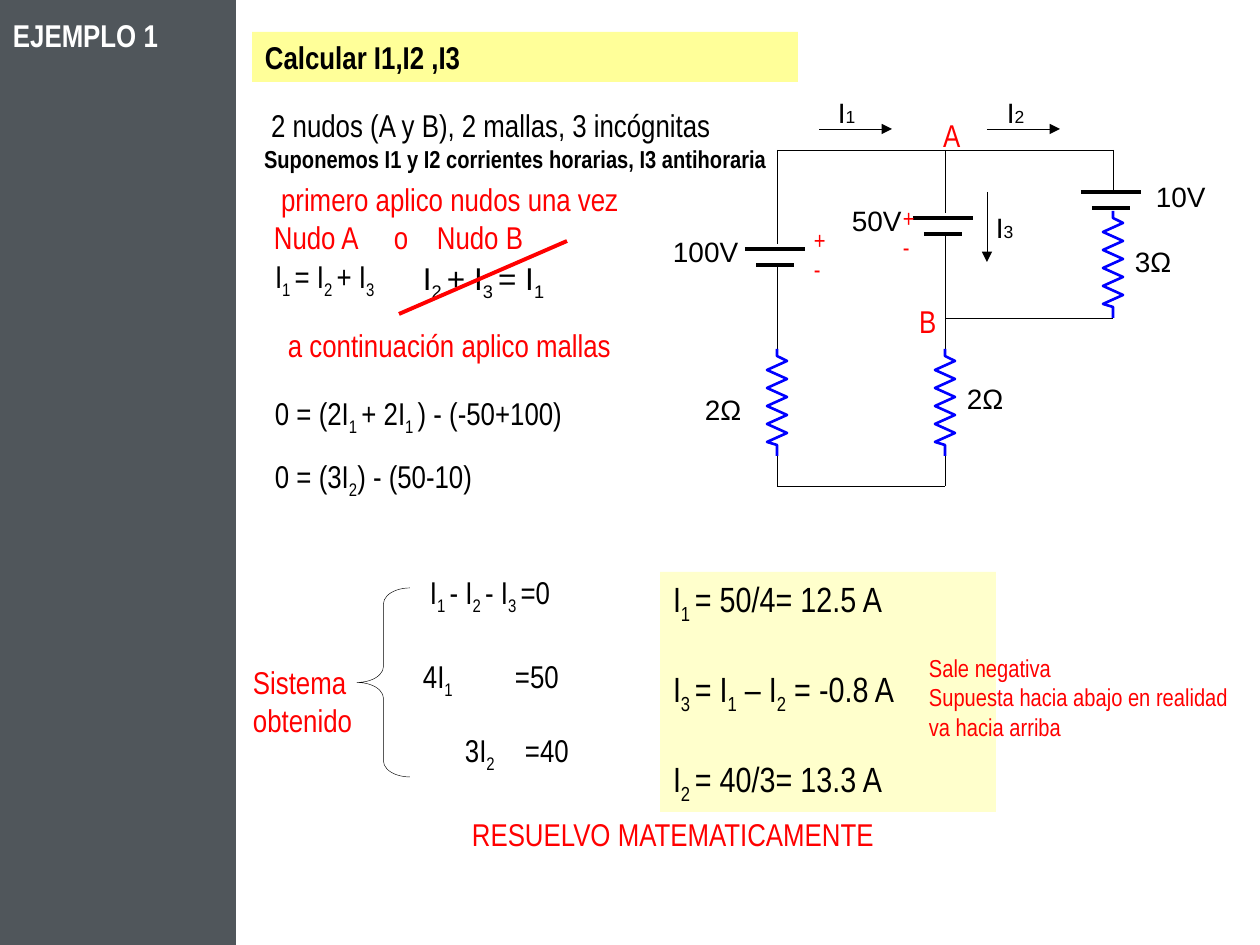
from pptx import Presentation
from pptx.dml.color import RGBColor
from pptx.enum.shapes import MSO_CONNECTOR as Link, MSO_SHAPE as Preset
from pptx.oxml.ns import qn
from pptx.util import Pt
from lxml.etree import SubElement

PX = 914400 / 126
RED, BLACK, WHITE, BLUE = "FF0000", "000000", "FFFFFF", "0000FF"
PADDED = (13, 6)

deck = Presentation()
deck.slide_width, deck.slide_height = round(1260 * PX), round(945 * PX)
page = deck.slides.add_slide(deck.slide_layouts[6])
shapes = page.shapes


def emu(*lengths):
    return [round(length * PX) for length in lengths]


def rgb(color):
    return RGBColor.from_string(color)


def block(preset, place, fill):
    shape = shapes.add_shape(preset, *emu(*place))
    shape.shadow.inherit = False
    shape.fill.solid()
    shape.fill.fore_color.rgb = rgb(fill)
    shape.line.fill.background()
    return shape


def wire(x1, y1, x2, y2, color=BLACK, weight=0.25, arrow=False):
    line = shapes.add_connector(Link.STRAIGHT, *emu(x1, y1, x2, y2))
    line.line.color.rgb = rgb(color)
    line.line.width = Pt(weight)
    if arrow:
        SubElement(line.line._get_or_add_ln(), qn("a:tailEnd"), type="triangle")
    SubElement(line._element.spPr, qn("a:effectLst"))


def write(text, place, size=18, color=BLACK, font="Arial Narrow", bold=False,
          inset=(1, 1), fill=None, before=0, tabs=(), small=None):
    """Lines become paragraphs; every second part between bars is an index.

    An index is a subscript, or plain text of the size given as small.
    """
    box = block(Preset.RECTANGLE, place, fill) if fill else shapes.add_textbox(*emu(*place))
    frame = box.text_frame
    frame.word_wrap = True
    frame.vertical_anchor = 1
    frame.margin_left = frame.margin_right = emu(inset[0])[0]
    frame.margin_top = frame.margin_bottom = emu(inset[1])[0]
    for number, line in enumerate(text.split("\n")):
        para = frame.add_paragraph() if number else frame.paragraphs[0]
        para.alignment = 1
        para.space_before = Pt(before if number else 0)
        if tabs:
            stops = SubElement(para._p.get_or_add_pPr(), qn("a:tabLst"))
            for stop in emu(*tabs):
                SubElement(stops, qn("a:tab"), pos=str(stop), algn="l")
        for index, part in enumerate(line.split("|")):
            if not part:
                continue
            span = para.add_run()
            span.text = part
            span.font.name = font
            span.font.bold = bold
            span.font.color.rgb = rgb(color)
            span.font.size = Pt(small if small and index % 2 else size)
            if index % 2 and not small:
                span._r.get_or_add_rPr().set("baseline", "-25000")
    return frame.paragraphs


# Side panel and headings
block(Preset.RECTANGLE, (0, 0, 236, 945), "50565B")
write("EJEMPLO 1", (0, 10, 231, 50), color=WHITE, bold=True, inset=PADDED)
write("Calcular I1,I2 ,I3", (252, 32, 546, 50), bold=True, inset=PADDED, fill="FFFF99")
intro = write(" 2 nudos (A y B), 2 mallas, 3 incógnitas\n"
              "Suponemos I1 y I2 corrientes horarias, I3 antihoraria", (263, 105, 535, 42))
assumption = intro[1].runs[0].font
assumption.size, assumption.bold = Pt(14), True

# Node and mesh equations
write(" primero aplico nudos una vez\nNudo A\to\tNudo B", (273, 179, 367, 32),
      color=RED, tabs=(120, 163))
write("I|1 |= I|2 |+ I|3", (262, 251, 231, 55), inset=PADDED)
write("I|2 |+ I|3 |= I|1", (410, 253, 231, 55), font="Arial", inset=PADDED)
wire(399, 314, 567, 241, RED, 2.25)
write("a continuación aplico mallas", (287, 325, 367, 49), color=RED)
write("0 = (2I|1 |+ 2I|1 |) - (-50+100)", (262, 388, 577, 55), inset=PADDED)
write("0 = (3I|2|) - (50-10)", (262, 451, 577, 55), inset=PADDED)

# Resulting system
write("Sistema\nobtenido", (252, 662, 105, 53), color=RED)
brace = shapes.add_shape(Preset.LEFT_BRACE, *emu(357, 588, 53, 189))
brace.shadow.inherit = False
brace.adjustments[0], brace.adjustments[1] = 0.3, 0.5
brace.fill.background()
brace.line.color.rgb = rgb(BLACK)
brace.line.width = Pt(0.25)
for equation, left, top, tabs in [("I|1 |- I|2 |- I|3 |=0", 417, 567, ()),
                                  ("4I|1|\t=50", 410, 651, (92,)),
                                  ("3I|2|\t=40", 452, 725, (60,))]:
    write(equation, (left, top, 250, 55), inset=PADDED, tabs=tabs)

# Results
write("I|1 |= 50/4= 12.5 A\nI|3 |= I|1| – I|2| = -0.8 A\nI|2 |= 40/3= 13.3 A",
      (660, 572, 336, 240), size=20, inset=PADDED, fill="FFFFCC", before=24)
write("Sale negativa\nSupuesta hacia abajo en realidad\nva hacia arriba",
      (928, 652, 317, 53), size=14, color=RED)
write("RESUELVO MATEMATICAMENTE", (471, 814, 566, 53), color=RED)

# Circuit wires: three branches between the top, node B and bottom rails
LEFT, MIDDLE, RIGHT = 777, 945, 1113
TOP, NODE_B, BOTTOM = 150, 318, 486
for x, y1, y2 in [(LEFT, TOP, 244), (LEFT, 266, 349), (LEFT, 455, BOTTOM),
                  (MIDDLE, TOP, 213), (MIDDLE, 234, 349), (MIDDLE, 455, BOTTOM),
                  (RIGHT, TOP, 192)]:
    wire(x, y1, x, y2)
for x1, x2, y in [(LEFT, MIDDLE, TOP), (MIDDLE, RIGHT, TOP),
                  (MIDDLE, RIGHT, NODE_B), (LEFT, MIDDLE, BOTTOM)]:
    wire(x1, y, x2, y)

# Batteries
for x, y in [(LEFT, 249), (MIDDLE, 218), (RIGHT, 192)]:
    block(Preset.RECTANGLE, (x - 31, y, 58, 15), WHITE)
    wire(x - 21, y + 16, x + 17, y + 16, weight=2)
    wire(x - 32, y, x + 28, y, weight=2)

# Resistors
for x, y in [(LEFT, 349), (MIDDLE, 349), (RIGHT, 211)]:
    teeth = [(x + (-10 if i % 2 else 10), y + 12 + 9 * i) for i in range(10)]
    points = [(x, y + 7), *teeth, (x, y + 96), (x, y + 107)]
    outline = shapes.build_freeform(*emu(x, y), scale=1.0)
    outline.add_line_segments([emu(*point) for point in points], close=False)
    resistor = outline.convert_to_shape()
    resistor.shadow.inherit = False
    resistor.fill.background()
    resistor.line.color.rgb = rgb(BLUE)
    resistor.line.width = Pt(1.5)

# Currents
for x1, y1, x2, y2 in [(819, 129, 892, 129), (987, 129, 1060, 129), (987, 192, 987, 262)]:
    wire(x1, y1, x2, y2, arrow=True)
for current, left, top in [("I|1", 837, 95), ("I|2", 1006, 95), ("I|3", 995, 210)]:
    write(current, (left, top, 40, 45), size=16, font="Arial", small=10)

# Component values, nodes and polarity
for value, left, top in [("2Ω", 966, 381), ("3Ω", 1134, 244), ("2Ω", 704, 392),
                         ("10V", 1155, 179), ("100V", 672, 234), ("50V", 851, 203)]:
    write(value, (left, top, 73, 45), size=16, font="Arial")
for node, left, top in [("A", 942, 115), ("B", 918, 301)]:
    write(node, (left, top, 105, 53), color=RED)
for left, top in [(813, 224), (902, 202)]:
    write("+\n-", (left, top, 35, 53), size=14, color=RED)

deck.save("out.pptx")
